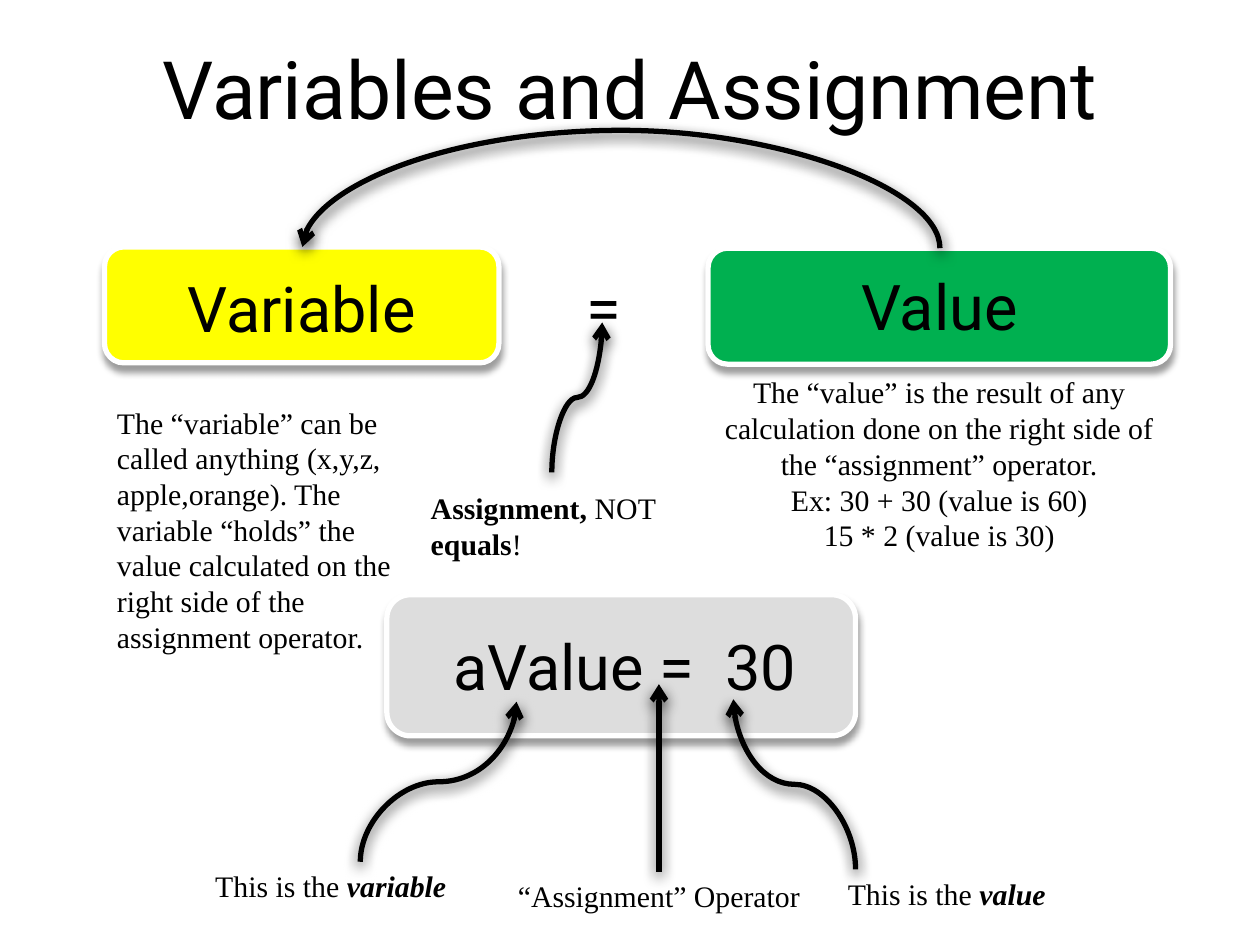
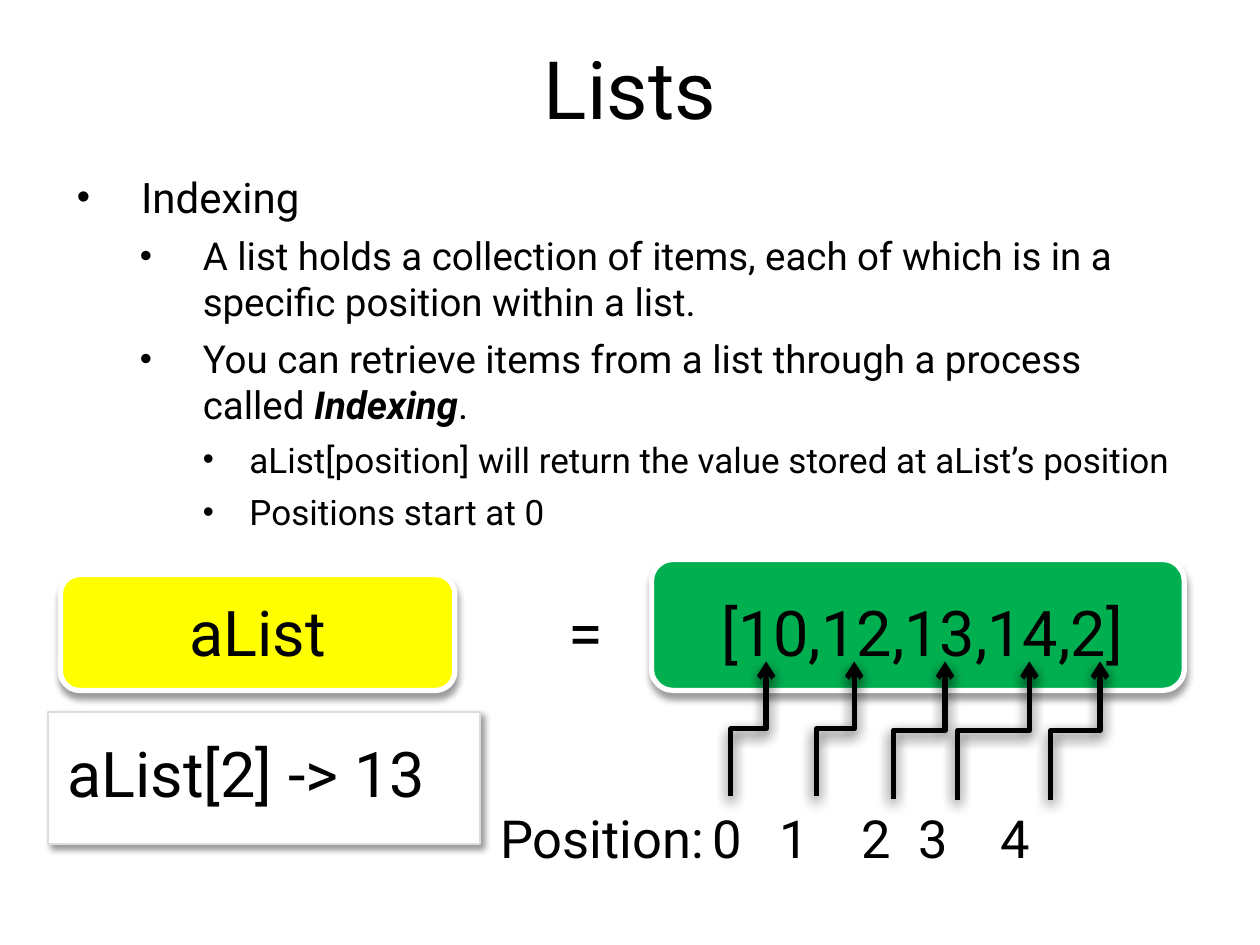
from collections import namedtuple

from lxml.etree import SubElement
from pptx import Presentation
from pptx.dml.color import RGBColor
from pptx.enum.shapes import MSO_CONNECTOR, MSO_SHAPE
from pptx.enum.text import MSO_ANCHOR, MSO_AUTO_SIZE, PP_ALIGN
from pptx.oxml.ns import qn
from pptx.util import Inches, Pt

COLORS = {
    "ink": "000000",
    "paper": "FFFFFF",
    "variable": "FFFF00",
    "value": "00B050",
    "example": "DDDDDD",
}
DISPLAY, SERIF = "Roboto", "Times New Roman"
LARGE, NOTE = 36, 17
ARROW_SHADOW = (75, 8, 3, 90)
CARD_SHADOW = (38, 4, 4, 82)
PAPER_SHADOW = (40, 4, 3, 45)
LABEL_WIDTH, LABEL_HEIGHT = 7.46, 0.71
STRONG = {"bold": True, "italic": True}

Box = namedtuple("Box", "left top width height")


def color(name):
    """Return a palette entry as a colour object."""
    return RGBColor.from_string(COLORS[name])


def inside(box, left, top, width, height):
    """Return a box placed relative to the corner of another."""
    return Box(box.left + left, box.top + top, width, height)


def lengths(box):
    """Return the four sides of a box as lengths."""
    return [Inches(side) for side in box]


def write(para, text, size=LARGE, font=DISPLAY, bold=False, italic=False, spacing=0):
    """Add one formatted span to a paragraph."""
    span = para.add_run()
    span.text = text
    span.font.size, span.font.name = Pt(size), font
    span.font.bold, span.font.italic = bold, italic
    span.font.color.rgb = color("ink")
    if spacing:
        span.font._element.set("spc", str(spacing * 100))


def write_spans(para, spans, **style):
    """Write plain strings and (text, format) pairs into a paragraph."""
    for item in spans:
        text, extra = (item, {}) if isinstance(item, str) else item
        write(para, text, **{**style, **extra})


def label(page, box, *lines, align=PP_ALIGN.CENTER, **style):
    """Add a text box with one paragraph for each list of spans."""
    shape = page.shapes.add_textbox(*lengths(box))
    frame = shape.text_frame
    frame.word_wrap = True
    frame.auto_size = MSO_AUTO_SIZE.SHAPE_TO_FIT_TEXT
    for number, spans in enumerate(lines):
        para = frame.add_paragraph() if number else frame.paragraphs[0]
        para.alignment = align
        write_spans(para, spans, **style)
    return shape


def note(page, box, *lines, align=PP_ALIGN.LEFT):
    """Add an explanation in the serif font."""
    label(page, box, *lines, align=align, size=NOTE, font=SERIF)


def cast_shadow(properties, opacity, blur, distance, angle):
    """Fill the effect list of a shape with an outer shadow."""
    effects = properties.find(qn("a:effectLst"))
    if effects is None:
        effects = SubElement(properties, qn("a:effectLst"))
    outer = SubElement(effects, qn("a:outerShdw"), blurRad=str(Pt(blur)), dist=str(Pt(distance)),
                       dir=str(angle * 60000), algn="ctr", rotWithShape="0")
    tint = SubElement(outer, qn("a:srgbClr"), val=COLORS["ink"])
    SubElement(tint, qn("a:alpha"), val=str(opacity * 1000))


def card(page, box, fill, kind=MSO_SHAPE.ROUNDED_RECTANGLE, edge="paper", width=3,
         shadow=CARD_SHADOW):
    """Add a filled card with a border and a shadow."""
    shape = page.shapes.add_shape(kind, *lengths(box))
    shape.fill.solid()
    shape.fill.fore_color.rgb = color(fill)
    shape.line.color.rgb = color(edge)
    shape.line.width = Pt(width)
    shape.shadow.inherit = False
    cast_shadow(shape.element.spPr, *shadow)


def arrow(page, start, end, kind=MSO_CONNECTOR.CURVE, bend=0.5):
    """Add an arrow that leaves upward, turned so its ends meet the points."""
    (x1, y1), (x2, y2) = start, end
    side = 1 if x2 > x1 else -1
    middle_x, middle_y = (x1 + x2) / 2, (y1 + y2) / 2
    half_run, half_rise = side * (y1 - y2) / 2, abs(x2 - x1) / 2
    line = page.shapes.add_connector(
        kind, Inches(middle_x + half_run), Inches(middle_y + half_rise),
        Inches(middle_x - half_run), Inches(middle_y - half_rise))
    line.line.color.rgb = color("ink")
    line.line.width = Pt(3)
    properties = line.element.spPr
    properties.find(qn("a:xfrm")).set("rot", str((90 if side > 0 else 270) * 60000))
    guides = properties.find(qn("a:prstGeom")).find(qn("a:avLst"))
    SubElement(guides, qn("a:gd"), name="adj1", fmla=f"val {round(bend * 100000)}")
    SubElement(properties.find(qn("a:ln")), qn("a:tailEnd"), type="arrow")
    cast_shadow(properties, *ARROW_SHADOW)


def set_title(page, text, box):
    """Place and fill the title placeholder."""
    title = page.shapes.title
    title.left, title.top, title.width, title.height = lengths(box)
    frame = title.text_frame
    frame.auto_size = MSO_AUTO_SIZE.NONE
    frame.vertical_anchor = MSO_ANCHOR.MIDDLE
    para = frame.paragraphs[0]
    para.alignment = PP_ALIGN.CENTER
    write(para, text, size=46)


def set_bullets(page, box, items):
    """Fill the body placeholder with (level, spans) items."""
    levels = [(0.51, 0.51, 24, 20), (1, 0.5, 22, 6), (1.37, 0.37, 20, 6)]
    body = page.placeholders[1]
    body.left, body.top, body.width, body.height = lengths(box)
    frame = body.text_frame
    frame.auto_size = MSO_AUTO_SIZE.NONE
    for number, (level, spans) in enumerate(items):
        para = frame.add_paragraph() if number else frame.paragraphs[0]
        margin, hang, size, gap = levels[level]
        para.level = level
        para.space_before = Pt(gap)
        layout = para._p.get_or_add_pPr()
        layout.set("marL", str(Inches(margin)))
        layout.set("indent", str(-Inches(hang)))
        SubElement(layout, qn("a:buSzPct"), val="90000")
        SubElement(layout, qn("a:buFont"), typeface="Arial")
        SubElement(layout, qn("a:buChar"), char="•")
        write_spans(para, spans, size=size)


def variable_and_value(page, box):
    """Show the general form of an assignment with its notes."""
    variable = inside(box, 0, 0, 3.13, 0.92)
    value = inside(box, 4.79, 0.01, 3.67, 0.92)
    card(page, variable, "variable")
    card(page, value, "value")
    label(page, inside(box, 2.93, 0.12, 2.06, LABEL_HEIGHT), ["="])
    for text, holder, top in (("Variable", variable, 0.13), ("Value", value, 0.1)):
        left = (holder.width - LABEL_WIDTH) / 2
        label(page, inside(holder, left, top, LABEL_WIDTH, LABEL_HEIGHT), [text])
    note(page, inside(value, 0, 0.95, value.width, 1.82),
         ["The “value” is the result of any calculation done on the right side of the "
          "“assignment” operator."],
         ["Ex: 30 + 30 (value is 60)"], ["15 * 2 (value is 30)"], align=PP_ALIGN.CENTER)
    arrow(page, (box.left + 3.55, box.top + 1.79), (box.left + 3.95, box.top + 0.6))
    note(page, inside(box, 2.49, 1.88, 2.72, 0.39),
         [("Assignment,", {"bold": True}), " NOT ", ("equals", {"bold": True}), "!"])
    arrow(page, (box.left + 6.63, value.top), (box.left + 1.57, box.top), bend=95)
    note(page, inside(variable, 0, 1.2, 2.48, 2.1),
         ["The “variable” can be called anything (x,y,z, apple,orange). The variable “holds” "
          "the value calculated on the right side of the assignment operator."])


def labelled_example(page, box):
    """Show one assignment and name its three parts."""
    card(page, box, "example")
    label(page, inside(box, -1.84, 0.21, LABEL_WIDTH, LABEL_HEIGHT),
          ["aValue =", (" ", {"spacing": 9}), "30"])
    parts = [
        ((3.72, 2.18), (2.75, 0.83), (3.56, 2.18), PP_ALIGN.LEFT,
         ["This is the ", ("value", STRONG)]),
        ((2.16, 2.2), (2.16, 0.71), (0.92, 2.2), PP_ALIGN.CENTER, ["“Assignment” Operator"]),
        ((-0.21, 2.12), (1.03, 0.85), (-1.46, 2.12), PP_ALIGN.LEFT,
         ["This is the", (" variable", STRONG)]),
    ]
    for start, end, corner, align, spans in parts:
        arrow(page, *[(box.left + x, box.top + y) for x, y in (start, end)])
        note(page, inside(box, *corner, 2.48, 0.39), spans, align=align)


def list_assignment(page, box):
    """Show a list being assigned to a name."""
    name = inside(box, 0, 0.12, 3.13, 0.92)
    card(page, name, "variable")
    card(page, inside(box, 4.69, 0, 4.23, 1.04), "value")
    texts = [("=", 3.14, 2.06), ("aList", 0, name.width), ("[10,12,13,14,2]", 4.89, 3.9)]
    for text, left, width in texts:
        label(page, inside(box, left, 0.22, width, LABEL_HEIGHT), [text])


def positions(page, box):
    """Number the list items and point from each number to its item."""
    ends = [(5.8, 6.32, 6.08), (6.48, 6.32, 6.78), (7.09, 6.34, 7.5), (7.6, 6.35, 8.17),
            (8.34, 6.35, 8.73)]
    for start_x, start_y, item_x in ends:
        arrow(page, (start_x, start_y), (item_x, box.top - 1.1), kind=MSO_CONNECTOR.ELBOW)
    digits = "\t".join(str(number) for number in range(len(ends)))
    row = label(page, box, [f"Position:\t{digits}"], align=PP_ALIGN.LEFT, size=30)
    layout = row.text_frame.paragraphs[0]._p.get_or_add_pPr()
    stops = SubElement(layout, qn("a:tabLst"))
    for stop in (1.69, 2.22, 2.87, 3.32, 3.97):
        SubElement(stops, qn("a:tab"), pos=str(Inches(stop)), algn="l")


def lookup(page, box):
    """Show the result of indexing the list."""
    card(page, box, "paper", kind=MSO_SHAPE.RECTANGLE, edge="example", width=1.5,
         shadow=PAPER_SHADOW)
    label(page, inside(box, -0.16, 0.13, 3.59, LABEL_HEIGHT), ["aList[2] -> 13 "])


def build_assignment(deck):
    """Build the slide about variables and assignment."""
    page = deck.slides.add_slide(deck.slide_layouts[5])
    set_title(page, "Variables and Assignment", Box(1, 0.22, 8, 0.95))
    labelled_example(page, Box(3.07, 4.72, 3.72, 1.12))
    variable_and_value(page, Box(0.83, 1.96, 8.46, 3.3))


def build_lists(deck):
    """Build the slide about lists and indexing."""
    page = deck.slides.add_slide(deck.slide_layouts[1])
    set_title(page, "Lists", Box(0, 0.22, 10, 0.95))
    set_bullets(page, Box(0.51, 1.31, 8.9, 5.86), [
        (0, ["Indexing"]),
        (1, ["A list holds a collection of items, each of which is in a specific position "
             "within a list."]),
        (1, ["You can retrieve items from a list through a process called ",
             ("Indexing", STRONG), "."]),
        (2, ["aList[position] will return the value stored at aList’s position"]),
        (2, ["Positions start at 0"]),
    ])
    lookup(page, Box(0.38, 5.65, 3.43, 1.05))
    list_assignment(page, Box(0.48, 4.44, 8.92, 1.04))
    positions(page, Box(3.87, 6.35, 5.22, 0.61))


def main():
    """Build and save the deck."""
    deck = Presentation()
    deck.slide_width, deck.slide_height = Inches(10), Inches(7.5)
    build_assignment(deck)
    build_lists(deck)
    deck.save("out.pptx")


if __name__ == "__main__":
    main()
